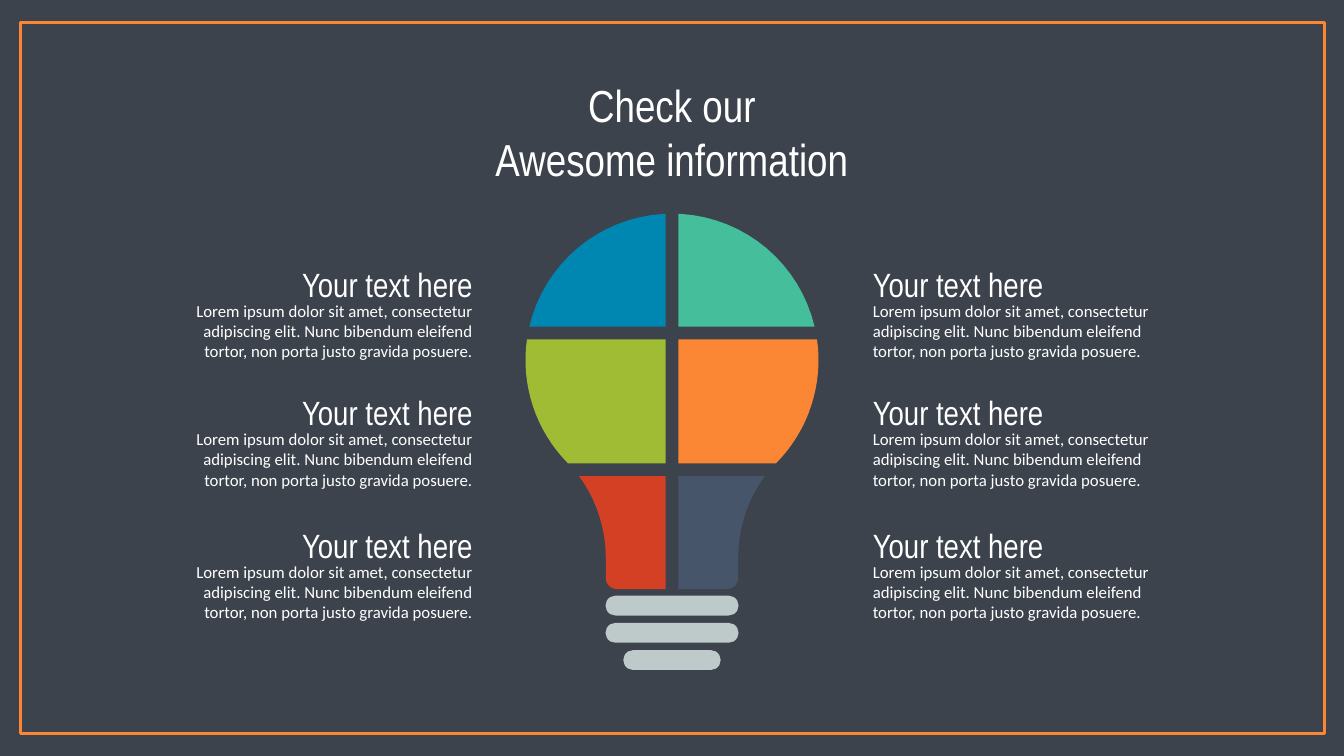
from math import acos, asin, cos, pi, sin

from lxml.etree import SubElement
from pptx import Presentation
from pptx.dml.color import RGBColor
from pptx.enum.shapes import MSO_SHAPE
from pptx.enum.text import MSO_AUTO_SIZE, PP_ALIGN
from pptx.oxml.ns import qn
from pptx.util import Inches, Pt

COLORS = {
    "white": "FFFFFF", "night": "222A35", "orange": "FB8734", "blue": "0087B1",
    "green": "45BE9B", "lime": "A0BC34", "red": "D44024", "slate": "46556A",
    "silver": "BDCAC9",
}
COLUMNS, ROWS = 40, 22.5
CENTER = COLUMNS / 2
HEADING = "Your text here"
BODY = ("Lorem ipsum dolor sit amet, consectetur adipiscing elit. "
        "Nunc bibendum eleifend tortor, non porta justo gravida posuere.")


class GridSlide:
    """Draws styled elements on one slide, measured in columns and rows."""

    def __init__(self, prs):
        prs.slide_width, prs.slide_height = Inches(13.333), Inches(7.5)
        self.column = prs.slide_width / COLUMNS
        self.row = prs.slide_height / ROWS
        self.s = prs.slides.add_slide(prs.slide_layouts[6])

    def x(self, columns):
        return round(columns * self.column)

    def y(self, rows):
        return round(rows * self.row)

    def box(self, left, top, width, height):
        return self.x(left), self.y(top), self.x(width), self.y(height)

    def color(self, name):
        return RGBColor.from_string(COLORS[name])

    def paint(self, sp, fill=None, line=None, alpha=None):
        sp.shadow.inherit = False
        if fill:
            sp.fill.solid()
            sp.fill.fore_color.rgb = self.color(fill)
        else:
            sp.fill.background()
        if line:
            sp.line.color.rgb = self.color(line)
            sp.line.width = Pt(2)
        else:
            sp.line.fill.background()
        if alpha:
            tint = sp.fill._xPr.find(".//" + qn("a:srgbClr"))
            SubElement(tint, qn("a:alpha")).set("val", str(alpha * 1000))
        return sp

    def rect(self, *box, **style):
        sp = self.s.shapes.add_shape(MSO_SHAPE.RECTANGLE, *self.box(*box))
        return self.paint(sp, **style)

    def pill(self, *box, **style):
        sp = self.s.shapes.add_shape(MSO_SHAPE.ROUNDED_RECTANGLE, *self.box(*box))
        sp.adjustments[0] = 0.5
        return self.paint(sp, **style)

    def half(self, side, points, fill):
        spots = [(self.x(CENTER + side * dx), self.y(y)) for dx, y in points]
        builder = self.s.shapes.build_freeform(*spots[0], scale=1.0)
        builder.add_line_segments(spots[1:], close=True)
        return self.paint(builder.convert_to_shape(), fill=fill)

    def text(self, box, lines, size, font, align):
        tf = self.s.shapes.add_textbox(*self.box(*box)).text_frame
        tf.word_wrap = True
        tf.auto_size = MSO_AUTO_SIZE.SHAPE_TO_FIT_TEXT
        for i, line in enumerate(lines):
            p = tf.add_paragraph() if i else tf.paragraphs[0]
            p.alignment = align
            r = p.add_run()
            r.text = line
            r.font.size, r.font.name = Pt(size), font
            r.font.color.rgb = self.color("white")


def arc(cx, cy, radius, start, end, steps=16):
    angles = [start + (end - start) * i / steps for i in range(steps + 1)]
    return [(cx + radius * cos(a), cy + radius * sin(a)) for a in angles]


def glass(top, bottom, gap, cy=10.72, radius=4.36):
    start = max(asin((top - cy) / radius), -acos(gap / radius))
    end = asin((bottom - cy) / radius)
    return [(gap, top), *arc(0, cy, radius, start, end), (gap, bottom)]


def neck(top, bottom, gap, width=1.97, flare=4.11, flare_y=16.6, corner=0.33):
    start = pi + asin((flare_y - top) / flare)
    return [(gap, top),
            *arc(width + flare, flare_y, flare, start, pi),
            *arc(width - corner, bottom - corner, corner, 0, pi / 2),
            (gap, bottom)]


def draw_bulb(slide):
    gap = 0.19
    tiers = [
        (glass(6.37, 9.72, gap), "blue", "green"),
        (glass(10.1, 13.79, gap), "lime", "orange"),
        (neck(14.17, 17.53, gap), "red", "slate"),
    ]
    parts = [slide.half(side, points, fill)
             for points, left, right in tiers
             for side, fill in ((-1, left), (1, right))]
    for i, width in enumerate((3.96, 3.96, 2.9)):
        parts.append(slide.pill(CENTER - width / 2, 17.73 + 0.81 * i, width, 0.59,
                                fill="silver"))
    slide.s.shapes.add_group_shape(parts)


def main():
    prs = Presentation()
    slide = GridSlide(prs)
    slide.rect(0, 0, COLUMNS, ROWS, fill="night", alpha=88)
    slide.rect(0.6, 0.66, 38.82, 21.18, line="orange")
    slide.text((2.64, 2.16, 34.72, 3.54), ["Check our", "Awesome information"],
               32, "Arial Narrow", PP_ALIGN.CENTER)
    draw_bulb(slide)
    for left, align in ((4.73, PP_ALIGN.RIGHT), (25.68, PP_ALIGN.LEFT)):
        for top in (7.7, 11.52, 15.47):
            slide.text((left, top + 1.1, 9.63, 2.13), [BODY], 12, "Calibri", align)
            slide.text((left, top, 9.63, 1.5), [HEADING], 24, "Arial Narrow", align)
    prs.save("out.pptx")


if __name__ == "__main__":
    main()
